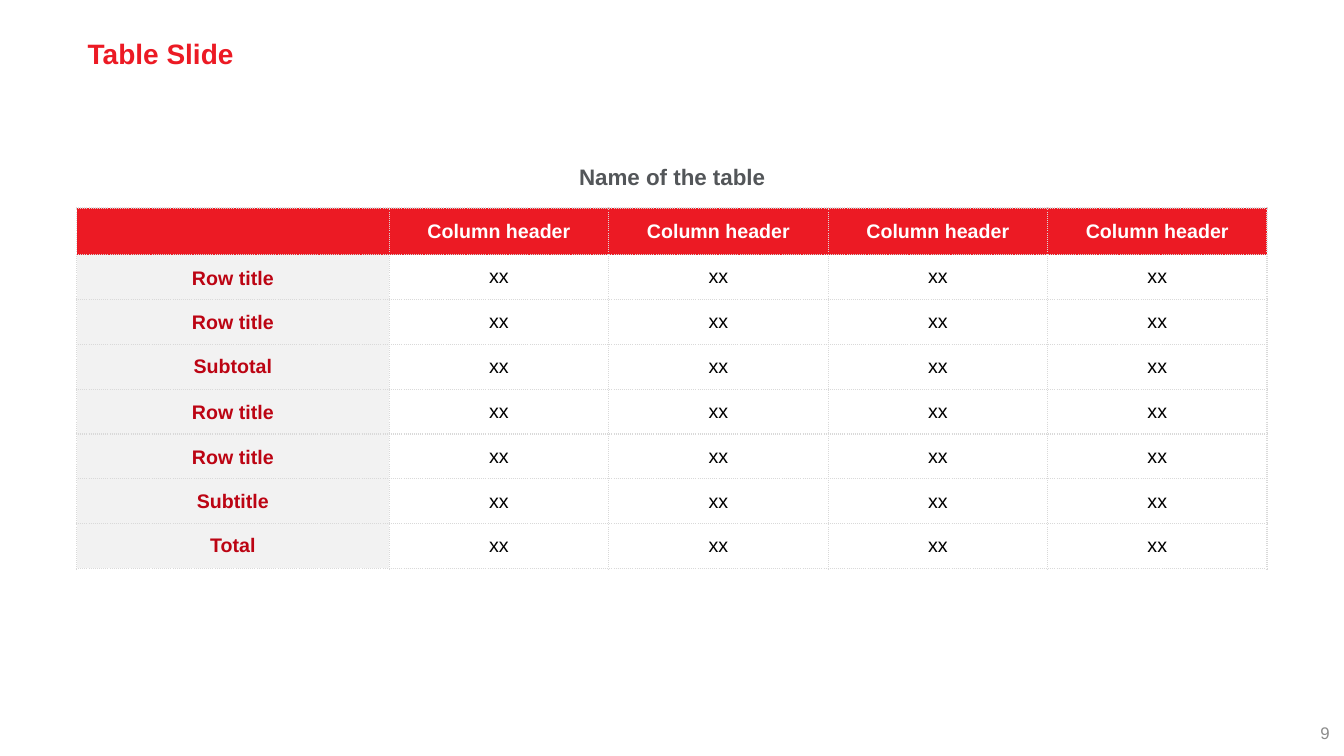
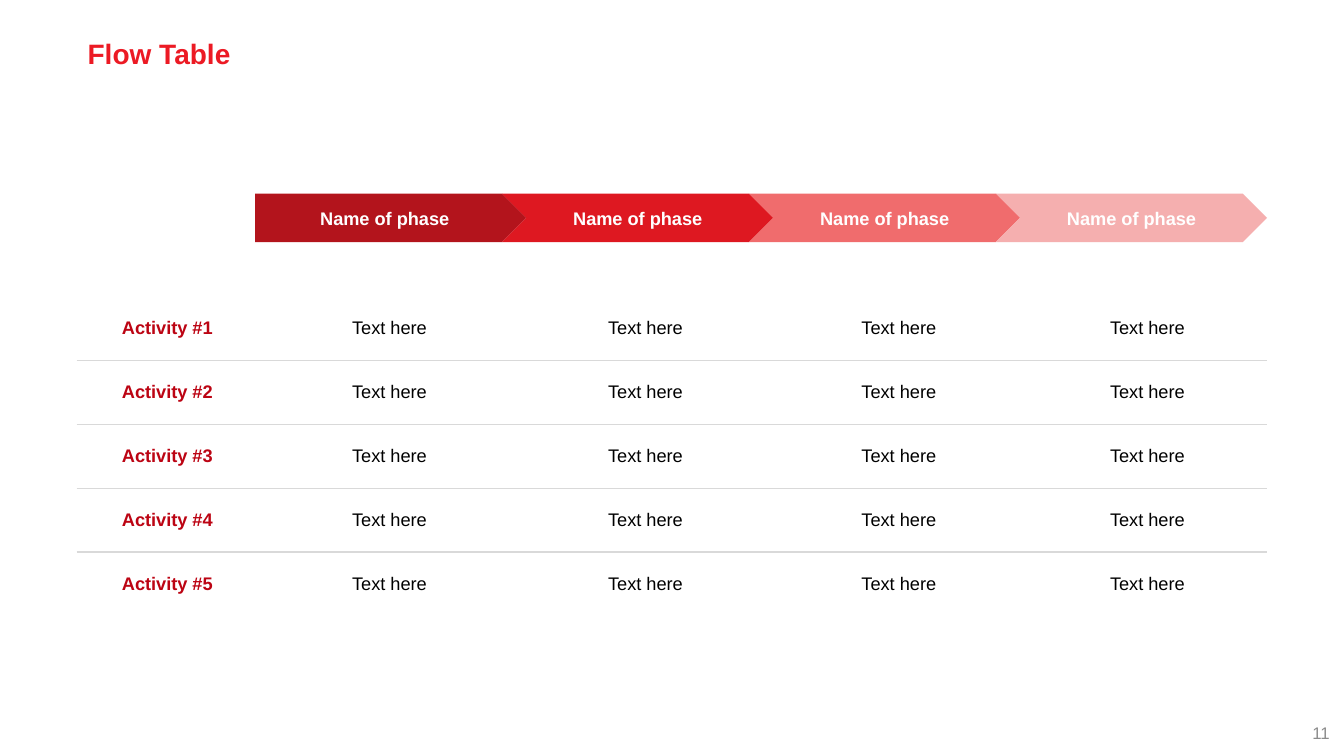
from lxml import etree
from pptx import Presentation
from pptx import util as u
from pptx.dml.color import RGBColor
from pptx.enum import shapes, text
from pptx.oxml.ns import qn

FONT = "Arial"
RED, DARK_RED = "EC1A24", "BC0413"
WHITE, BLACK = "FFFFFF", "000000"
LIGHT_GREY, RULE_GREY = "F2F2F2", "D9D9D9"
HEADING_GREY, NUMBER_GREY = "535659", "8C8C8C"
PHASE_COLORS = ["B3141C", "DE1821", "F06C6D", "F5AFAF"]
NO_STYLE_NO_GRID = "{2D5ABB26-0587-4C30-8999-92F81FD0307C}"

SLIDE_W, SLIDE_H = 33.87, 19.05
LEFT, CONTENT_W = 1.93, 30
ALIGN, ANCHOR = text.PP_ALIGN, text.MSO_ANCHOR


def rgb(color):
    return RGBColor.from_string(color)


def write(tf, content, size, color, bold=False, align=ALIGN.CENTER,
          before=0, after=0, line=1.0):
    p = tf.paragraphs[0]
    p.alignment = align
    p.space_before, p.space_after = u.Pt(before), u.Pt(after)
    p.line_spacing = line
    r = p.add_run()
    r.text = content
    r.font.name, r.font.size, r.font.bold = FONT, u.Pt(size), bold
    r.font.color.rgb = rgb(color)


def set_margins(box, margin):
    """Give a text frame or a table cell the same margin on all sides."""
    box.margin_left = box.margin_right = u.Cm(margin)
    box.margin_top = box.margin_bottom = u.Cm(margin)


def add_text(slide, x, y, w, h, content, size, color, margin=None,
             anchor=ANCHOR.TOP, **style):
    tf = slide.shapes.add_textbox(u.Cm(x), u.Cm(y), u.Cm(w), u.Cm(h)).text_frame
    tf.word_wrap = True
    tf.vertical_anchor = anchor
    if margin is not None:
        set_margins(tf, margin)
    write(tf, content, size, color, **style)


def add_slide(prs, title, number):
    """Add a blank slide with the shared title and page number."""
    slide = prs.slides.add_slide(prs.slide_layouts[6])
    add_text(slide, 1.96, 0.89, 24.18, 0.99, title, 20, RED, bold=True,
             align=ALIGN.LEFT, line=0.9)
    add_text(slide, 26.14, 17.96, 7.62, 1.02, str(number), 12, NUMBER_GREY,
             anchor=ANCHOR.MIDDLE, align=ALIGN.RIGHT)
    return slide


def add_table(slide, y, widths, heights):
    """Add an unstyled table at the left margin."""
    frame = slide.shapes.add_table(len(heights), len(widths), u.Cm(LEFT), u.Cm(y),
                                   u.Cm(sum(widths)), u.Cm(sum(heights)))
    table = frame.table
    table.first_row = table.horz_banding = False
    table._tbl.tblPr.find(qn("a:tableStyleId")).text = NO_STYLE_NO_GRID
    for column, width in zip(table.columns, widths):
        column.width = u.Cm(width)
    for row, height in zip(table.rows, heights):
        row.height = u.Cm(height)
    return table


def set_borders(cell, sides, dash):
    """Draw 1 pt rules on the given sides, a subset of "LRTB" in that order."""
    tcPr = cell._tc.get_or_add_tcPr()
    for side in sides:
        ln = etree.SubElement(tcPr, qn(f"a:ln{side}"), w=str(u.Pt(1)))
        fill = etree.SubElement(ln, qn("a:solidFill"))
        etree.SubElement(fill, qn("a:srgbClr"), val=RULE_GREY)
        etree.SubElement(ln, qn("a:prstDash"), val=dash)


def format_cell(cell, margin, sides, dash="solid", fill=None):
    set_margins(cell, margin)
    cell.vertical_anchor = ANCHOR.MIDDLE
    set_borders(cell, sides, dash)
    if fill:
        cell.fill.solid()
        cell.fill.fore_color.rgb = rgb(fill)
    else:
        cell.fill.background()


def add_phases(slide, x, y, h, names):
    """Add interlocking arrows that end at the right margin."""
    overlap = h / 2
    count = len(names)
    w = (LEFT + CONTENT_W - x + (count - 1) * overlap) / count
    group = slide.shapes.add_group_shape()
    for i, (name, color) in enumerate(zip(names, PHASE_COLORS)):
        kind = shapes.MSO_SHAPE.CHEVRON if i else shapes.MSO_SHAPE.PENTAGON
        sp = group.shapes.add_shape(kind, u.Cm(x + i * (w - overlap)), u.Cm(y),
                                    u.Cm(w), u.Cm(h))
        sp.shadow.inherit = False
        sp.fill.solid()
        sp.fill.fore_color.rgb = rgb(color)
        sp.line.fill.background()
        tf = sp.text_frame
        tf.word_wrap = True
        tf.vertical_anchor = ANCHOR.MIDDLE
        set_margins(tf, 0.25)
        write(tf, name, 13, WHITE, bold=True)


def build_table_slide(prs):
    slide = add_slide(prs, "Table Slide", 9)
    add_text(slide, 11.89, 4.19, 10.1, 0.86, "Name of the table", 16, HEADING_GREY,
             margin=0, bold=True, line=0.9)
    labels = ["Row title", "Row title", "Subtotal", "Row title", "Row title",
              "Subtitle", "Total"]
    rows = [[""] + ["Column header"] * 4] + [[label] + ["xx"] * 4 for label in labels]
    table = add_table(slide, 5.24, [7.88] + [5.53] * 4, [1.18] + [1.13] * len(labels))
    for i, row in enumerate(rows):
        for j, content in enumerate(row):
            cell = table.cell(i, j)
            fill = RED if i == 0 else WHITE if j else LIGHT_GREY
            format_cell(cell, 0.18, "LRTB", "sysDot", fill)
            if not content:
                continue
            color = WHITE if i == 0 else BLACK if j else DARK_RED
            spacing = {"line": 1.1, "after": 6} if content == "Row title" else {}
            write(cell.text_frame, content, 14, color, bold=i == 0 or j == 0,
                  before=3 if i else 4, **spacing)


def build_flow_slide(prs):
    slide = add_slide(prs, "Flow Table", 11)
    count = 5
    table = add_table(slide, 7.47, [4.57, 6.63, 6.27, 6.5, 6.03], [1.61] * count)
    for i in range(count):
        sides = ("T" if i > 0 else "") + ("B" if i < count - 1 else "")
        for j, content in enumerate([f"Activity #{i + 1}"] + ["Text here"] * 4):
            cell = table.cell(i, j)
            format_cell(cell, 0.25, sides)
            write(cell.text_frame, content, 13, BLACK if j else DARK_RED,
                  bold=j == 0, before=3)
    add_phases(slide, 6.43, 4.88, 1.22, ["Name of phase"] * len(PHASE_COLORS))


def main():
    prs = Presentation()
    prs.slide_width, prs.slide_height = u.Cm(SLIDE_W), u.Cm(SLIDE_H)
    build_table_slide(prs)
    build_flow_slide(prs)
    prs.save("out.pptx")


if __name__ == "__main__":
    main()
